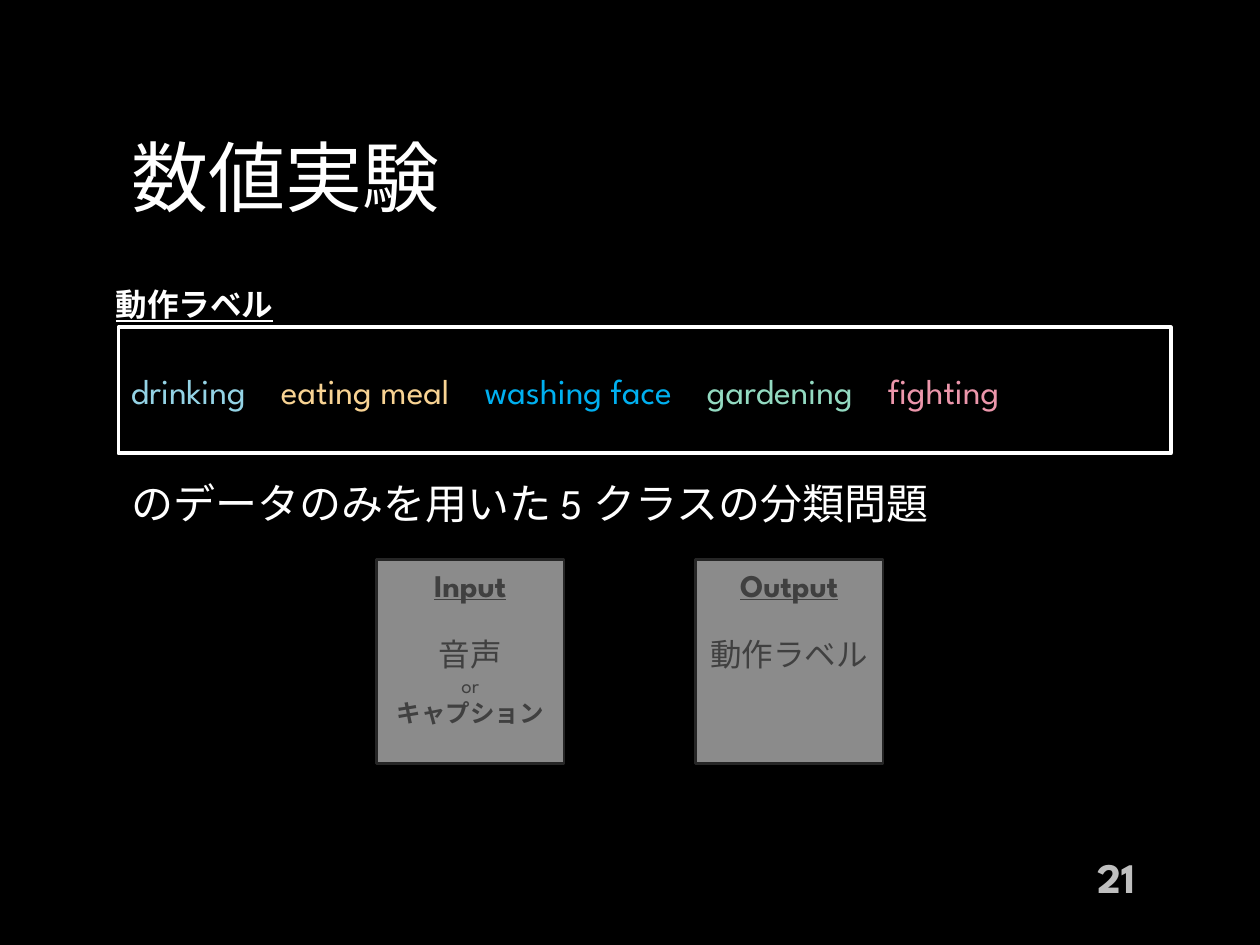
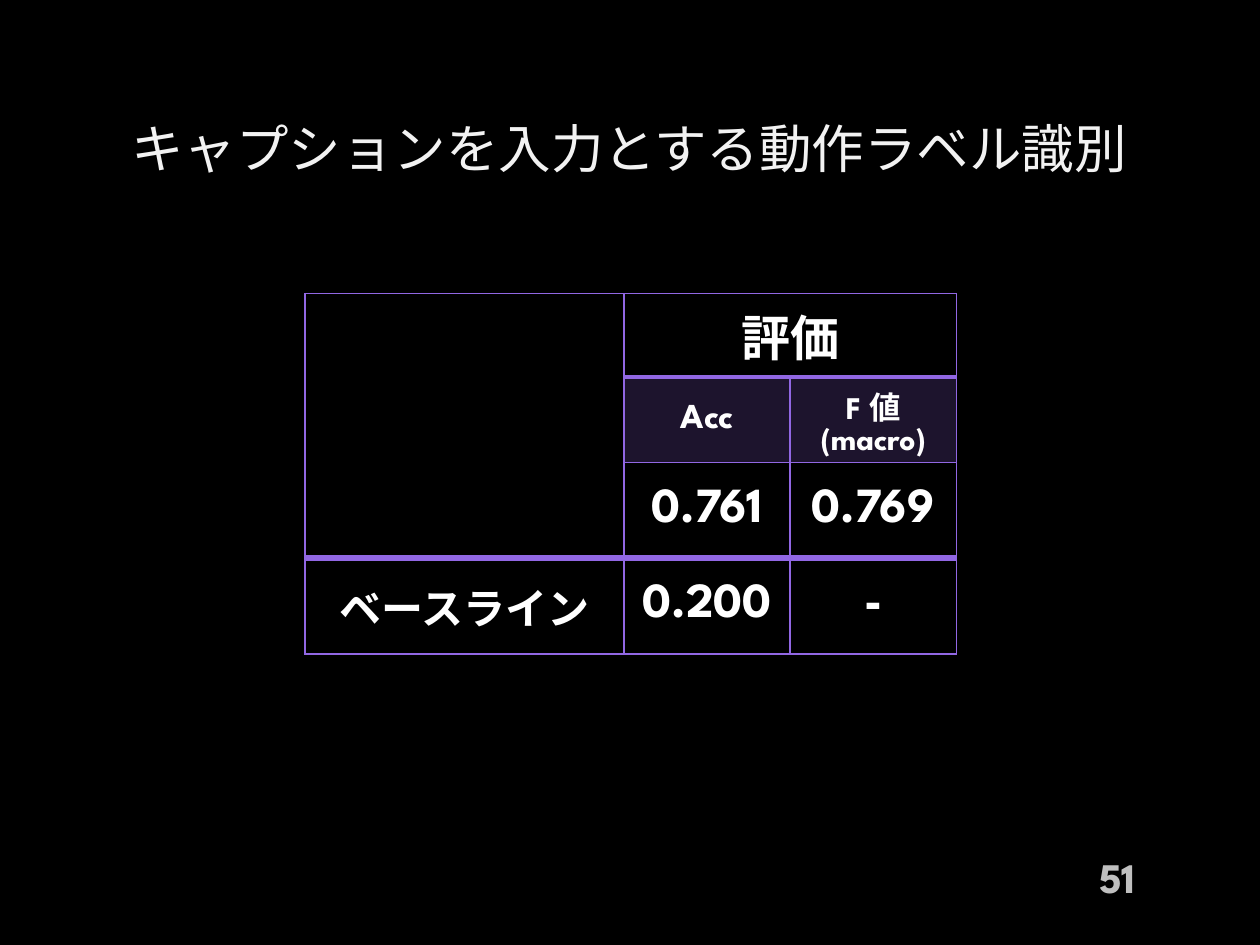
from dataclasses import dataclass

from lxml.etree import SubElement
from pptx import Presentation
from pptx.dml.color import RGBColor
from pptx.enum.lang import MSO_LANGUAGE_ID
from pptx.enum.shapes import MSO_SHAPE
from pptx.enum.text import MSO_ANCHOR, MSO_AUTO_SIZE, PP_ALIGN
from pptx.oxml.ns import qn
from pptx.util import Cm, Pt

FONT = "League Spartan"
BLACK = RGBColor(0x00, 0x00, 0x00)
WHITE = RGBColor(0xFF, 0xFF, 0xFF)
OFF_WHITE = RGBColor(0xF2, 0xF2, 0xF2)
NUMBER_GREY = RGBColor(0xBF, 0xBF, 0xBF)
CARD_GREY = RGBColor(0xD3, 0xD3, 0xD3)
CARD_LINE = RGBColor(0x26, 0x26, 0x26)
CARD_TEXT = RGBColor(0x40, 0x40, 0x40)
PURPLE = RGBColor(0x91, 0x67, 0xE3)
LABEL_COLOURS = {
    "drinking": RGBColor(0x94, 0xD3, 0xE5),
    "eating meal": RGBColor(0xF8, 0xD3, 0x93),
    "washing face": RGBColor(0x00, 0xB0, 0xF0),
    "gardening": RGBColor(0x93, 0xDA, 0xC1),
    "fighting": RGBColor(0xEC, 0x96, 0xAB),
}
MARGIN = 2.39
BODY_WIDTH = 21.21


@dataclass(frozen=True)
class Area:
    """A rectangle in centimetres."""
    left: float
    top: float
    width: float
    height: float

    def lengths(self) -> tuple:
        return Cm(self.left), Cm(self.top), Cm(self.width), Cm(self.height)


@dataclass(frozen=True)
class Line:
    text: str
    size: float
    bold: bool = False
    underline: bool = False
    space_before: float = 0


@dataclass(frozen=True)
class Card:
    left: float
    lines: tuple[Line, ...]


@dataclass(frozen=True)
class Entry:
    """A filled-in table cell."""
    row: int
    column: int
    text: str
    size: float
    tinted: bool = False


CARDS = (
    Card(7.59, (Line("Input", 18, True, True), Line("音声", 18, space_before=18),
                Line("or", 12), Line("キャプション", 14, True))),
    Card(14.02, (Line("Output", 18, True, True),
                 Line("動作ラベル", 18, space_before=18))),
)
COLUMN_WIDTHS = (6.43, 3.35, 3.35)
ROW_HEIGHTS = (1.68, 1.7, 1.93, 1.93)
RULE_WIDTHS = (1, 2, 1, 4, 1)  # horizontal rules, top to bottom
ENTRIES = (
    Entry(0, 1, "評価", 28),
    Entry(1, 1, "Acc", 20, True), Entry(1, 2, "F 値 (macro)", 18, True),
    Entry(2, 1, "0.761", 28), Entry(2, 2, "0.769", 28),
    Entry(3, 0, "ベースライン", 24),
    Entry(3, 1, "0.200", 28), Entry(3, 2, "-", 28),
)


def format_span(span, size: float, colour: RGBColor, bold: bool = False,
                underline: bool = False) -> None:
    font = span.font
    font.name, font.size = FONT, Pt(size)
    font.bold, font.underline = bold, underline
    font.color.rgb = colour
    font.language_id = MSO_LANGUAGE_ID.JAPANESE


def write(para, line: Line, colour: RGBColor, align=PP_ALIGN.LEFT) -> None:
    para.text = line.text
    para.alignment = align
    para.space_before = Pt(line.space_before)
    for span in para.runs:
        format_span(span, line.size, colour, line.bold, line.underline)


def set_opacity(properties, percent: int) -> None:
    colour = properties.find(qn("a:solidFill")).find(qn("a:srgbClr"))
    SubElement(colour, qn("a:alpha"), val=str(percent * 1000))


def fill_placeholder(shape, area: Area, line: Line, colour: RGBColor, anchor) -> None:
    shape.left, shape.top, shape.width, shape.height = area.lengths()
    frame = shape.text_frame
    frame.auto_size = MSO_AUTO_SIZE.NONE
    frame.vertical_anchor = anchor
    write(frame.paragraphs[0], line, colour)


def add_text(page, area: Area, line: Line, colour: RGBColor, align) -> None:
    frame = page.shapes.add_textbox(*area.lengths()).text_frame
    frame.word_wrap = True
    frame.vertical_anchor = MSO_ANCHOR.MIDDLE
    write(frame.paragraphs[0], line, colour, align)


def add_page(deck, layout: int, title: Line, area: Area, colour: RGBColor, number: int):
    page = deck.slides.add_slide(deck.slide_layouts[layout])
    fill_placeholder(page.shapes.title, area, title, colour, MSO_ANCHOR.MIDDLE)
    add_text(page, Area(19.84, 17.17, 3.3, 1.02), Line(str(number), 24, True),
             NUMBER_GREY, PP_ALIGN.RIGHT)
    return page


def add_box(page, area: Area, line_colour: RGBColor, line_width: float):
    box = page.shapes.add_shape(MSO_SHAPE.RECTANGLE, *area.lengths())
    box.shadow.inherit = False
    box.fill.background()
    box.line.color.rgb = line_colour
    box.line.width = Pt(line_width)
    return box


def add_label_box(page) -> None:
    box = add_box(page, Area(MARGIN, 6.6, BODY_WIDTH, 2.54), WHITE, 2.25)
    para = box.text_frame.paragraphs[0]
    para.alignment = PP_ALIGN.LEFT
    para.space_after = Pt(6)
    last = list(LABEL_COLOURS)[-1]
    for label, colour in LABEL_COLOURS.items():
        span = para.add_run()
        span.text = label if label == last else label + "　"
        format_span(span, 20, colour)


def add_card(page, card: Card) -> None:
    box = add_box(page, Area(card.left, 11.28, 3.78, 4.11), CARD_LINE, 1.35)
    box.fill.solid()
    box.fill.fore_color.rgb = CARD_GREY
    set_opacity(box._element.spPr, 66)
    frame = box.text_frame
    frame.vertical_anchor = MSO_ANCHOR.TOP
    for index, line in enumerate(card.lines):
        para = frame.add_paragraph() if index else frame.paragraphs[0]
        write(para, line, CARD_TEXT, PP_ALIGN.CENTER)


def add_borders(cell, row: int) -> None:
    properties = cell._tc.get_or_add_tcPr()
    widths = {"L": 1, "R": 1, "T": RULE_WIDTHS[row], "B": RULE_WIDTHS[row + 1]}
    for side, width in widths.items():
        border = SubElement(properties, qn(f"a:ln{side}"), w=str(Pt(width)))
        fill = SubElement(border, qn("a:solidFill"))
        SubElement(fill, qn("a:srgbClr"), val=str(PURPLE))


def add_score_table(page) -> None:
    area = Area(6.15, 5.92, sum(COLUMN_WIDTHS), sum(ROW_HEIGHTS))
    table = page.shapes.add_table(len(ROW_HEIGHTS), len(COLUMN_WIDTHS),
                                  *area.lengths()).table
    table.first_row = table.horz_banding = False
    for column, width in zip(table.columns, COLUMN_WIDTHS):
        column.width = Cm(width)
    for index, (row, height) in enumerate(zip(table.rows, ROW_HEIGHTS)):
        row.height = Cm(height)
        for cell in row.cells:
            add_borders(cell, index)
            cell.fill.background()
    table.cell(0, 0).merge(table.cell(2, 0))
    table.cell(0, 1).merge(table.cell(0, 2))
    for entry in ENTRIES:
        cell = table.cell(entry.row, entry.column)
        cell.vertical_anchor = MSO_ANCHOR.MIDDLE
        cell.margin_left = cell.margin_right = Cm(0.18)
        cell.margin_top = cell.margin_bottom = Cm(0.1)
        write(cell.text_frame.paragraphs[0], Line(entry.text, entry.size, True),
              WHITE, PP_ALIGN.CENTER)
        if entry.tinted:
            cell.fill.solid()
            cell.fill.fore_color.rgb = PURPLE
            set_opacity(cell._tc.tcPr, 20)


def build_experiment_page(deck) -> None:
    page = add_page(deck, 1, Line("数値実験", 44), Area(MARGIN, 2.39, 20.62, 2.29),
                    WHITE, 21)
    add_label_box(page)
    body = page.placeholders[1]
    properties = body.text_frame.paragraphs[0]._p.get_or_add_pPr()
    properties.set("marL", "0")
    properties.set("indent", "0")
    SubElement(properties, qn("a:buNone"))
    fill_placeholder(body, Area(MARGIN, 9.5, BODY_WIDTH, 2.31),
                     Line("のデータのみを用いた 5 クラスの分類問題", 24), WHITE,
                     MSO_ANCHOR.TOP)
    for card in CARDS:
        add_card(page, card)
    add_text(page, Area(1.6, 5.61, 4.65, 1.02), Line("動作ラベル", 18, True, True),
             WHITE, PP_ALIGN.CENTER)


def build_result_page(deck) -> None:
    page = add_page(deck, 5, Line("キャプションを入力とする動作ラベル識別", 30),
                    Area(MARGIN, 1.83, 21.13, 2.29), OFF_WHITE, 51)
    add_score_table(page)


def main() -> None:
    deck = Presentation()
    deck.slide_width, deck.slide_height = Cm(25.4), Cm(19.05)
    background = deck.slide_master.background.fill
    background.solid()
    background.fore_color.rgb = BLACK
    build_experiment_page(deck)
    build_result_page(deck)
    deck.save("out.pptx")


if __name__ == "__main__":
    main()
